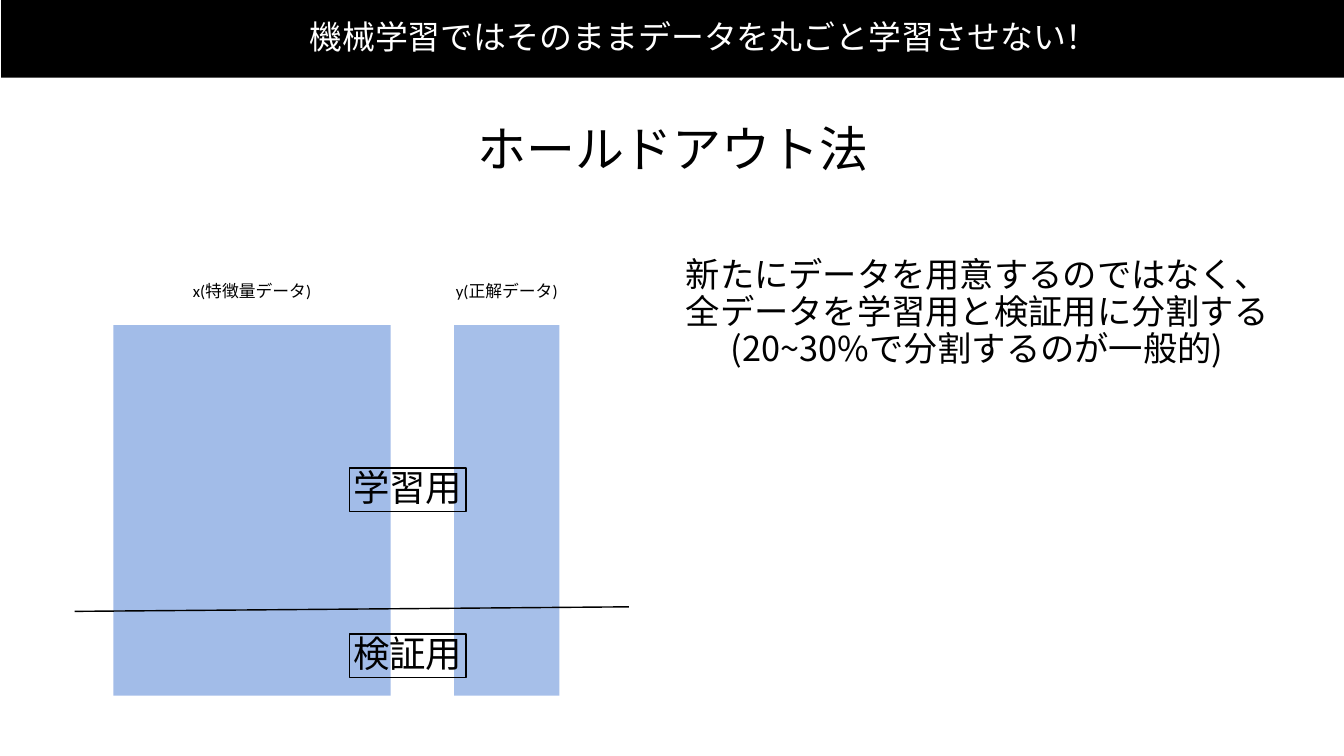
from lxml import etree
from pptx import Presentation
from pptx.dml.color import RGBColor
from pptx.enum import shapes, text
from pptx.oxml.ns import qn
from pptx.util import Pt

BLACK = RGBColor(0, 0, 0)
WHITE = RGBColor(255, 255, 255)
BLUE = RGBColor(0x3E, 0x74, 0xD1)
LATIN, JAPANESE = "Calibri", "Noto Sans CJK JP"


def write(sp, lines, size, font, color=BLACK, wrap=False):
    tf = sp.text_frame
    tf.text = "\n".join(lines)
    tf.word_wrap = wrap
    tf.auto_size = text.MSO_AUTO_SIZE.SHAPE_TO_FIT_TEXT
    tf.vertical_anchor = text.MSO_ANCHOR.MIDDLE
    tf.margin_left = tf.margin_right = tf.margin_top = tf.margin_bottom = Pt(4)
    for p in tf.paragraphs:
        p.alignment = text.PP_ALIGN.CENTER
        p.line_spacing = 0.9
        p.font.size, p.font.name, p.font.bold = Pt(size), font, False
        p.font.color.rgb = color


def add_text(s, x, y, w, h, lines, size, font):
    box = s.shapes.add_textbox(Pt(x), Pt(y), Pt(w), Pt(h))
    write(box, lines, size, font)


def add_rect(s, x, y, w, h, fill=None, opacity=100, line=None):
    sp = s.shapes.add_shape(shapes.MSO_SHAPE.RECTANGLE, Pt(x), Pt(y), Pt(w), Pt(h))
    sp.shadow.inherit = False
    if fill is None:
        sp.fill.background()
    else:
        sp.fill.solid()
        sp.fill.fore_color.rgb = fill
        if opacity < 100:
            color = sp.element.spPr.find(".//" + qn("a:srgbClr"))
            etree.SubElement(color, qn("a:alpha"), val=str(opacity * 1000))
    if line is None:
        sp.line.fill.background()
    else:
        sp.line.color.rgb, sp.line.width = line, Pt(2)
    return sp


def add_title(s, x, y, w, h):
    title = s.shapes.title
    title.left, title.top, title.width, title.height = Pt(x), Pt(y), Pt(w), Pt(h)
    write(title, ["ホールドアウト法"], 70, JAPANESE)


def add_split_diagram(s, x, y, w, h):
    """Feature and answer columns, cut by a line into training and validation parts."""
    label_h, column_top = 38, 66
    columns = [("x(特徴量データ)", 55.5, 396, 48, 232),
               ("y(正解データ)", 542.2, 150.5, 46, 202)]
    for _, dx, column_w, opacity, _ in columns:
        add_rect(s, x + dx, y + column_top, column_w, h - column_top, BLUE, opacity)
    for label, dx, column_w, _, label_w in columns:
        add_text(s, x + dx + (column_w - label_w) / 2, y, label_w, label_h,
                 [label], 24, LATIN)

    cut = s.shapes.add_connector(shapes.MSO_CONNECTOR.STRAIGHT, Pt(x), Pt(y + 475),
                                 Pt(x + w), Pt(y + 468.5))
    cut.line.color.rgb, cut.line.width = BLACK, Pt(2)
    etree.SubElement(cut.element.spPr, qn("a:effectLst"))

    for tag, dy in (("学習用", 270), ("検証用", 507.5)):
        sp = add_rect(s, x + 392.5, y + dy, 167, 62, line=BLACK)
        write(sp, [tag], 52, LATIN)


def add_explanation(s, x, y, w, h):
    add_text(s, x, y, w, h,
             ["新たにデータを用意するのではなく、",
              "全データを学習用と検証用に分割する",
              "(20~30%で分割するのが一般的)"], 49, JAPANESE)


def add_banner(s, x, y, w, h):
    add_rect(s, x, y, w, h, BLACK)
    message = add_rect(s, x + 306, y + 26.5, 1397.5, 59, BLACK)
    write(message, ["機械学習ではそのままデータを丸ごと学習させない！"],
          47, JAPANESE, WHITE, wrap=True)


def main():
    prs = Presentation()
    prs.slide_width, prs.slide_height = Pt(1920), Pt(1080)
    s = prs.slides.add_slide(prs.slide_layouts[5])
    add_title(s, 674.5, 174, 574, 84)
    add_split_diagram(s, 106.5, 398.4, 792, 595.2)
    add_explanation(s, 971.3, 363, 849, 168.5)
    add_banner(s, 1.5, -0.7, 1920, 111.6)
    prs.save("out.pptx")


if __name__ == "__main__":
    main()
